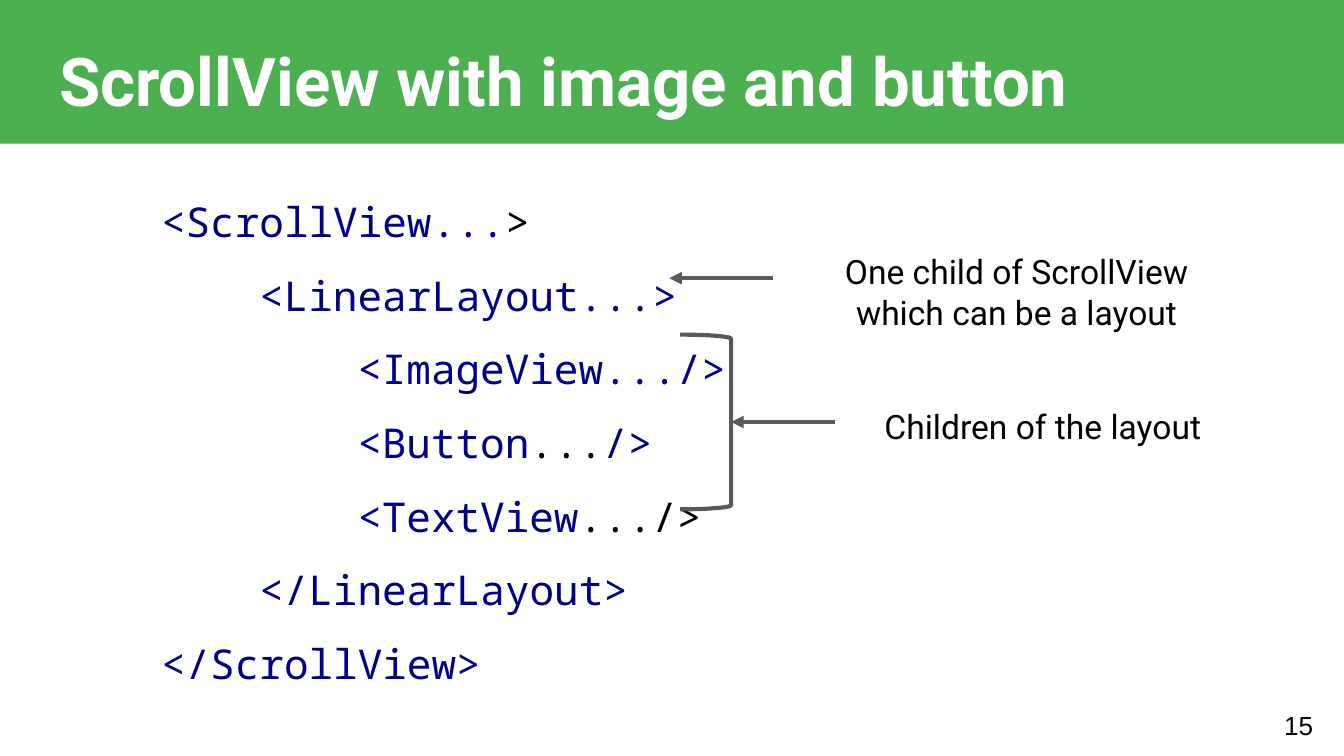
from dataclasses import dataclass

from lxml import etree
from pptx import Presentation
from pptx import util as u
from pptx.dml.color import RGBColor
from pptx.enum import shapes, text
from pptx.oxml import ns

GREEN, WHITE, BLACK, NAVY, GRAY = "4CAF50", "FFFFFF", "000000", "000088", "595959"
INDENT = 0.73  # width of four code characters

Run = tuple[str, str]  # wording, colour


@dataclass(frozen=True)
class Box:
    left: float
    top: float
    width: float
    height: float

    def lengths(self) -> list[u.Length]:
        return [u.Inches(n) for n in (self.left, self.top, self.width, self.height)]


@dataclass(frozen=True)
class CodeLine:
    level: int
    runs: list[Run]


@dataclass(frozen=True)
class Callout:
    lines: list[str]
    box: Box
    arrow_tip: tuple[float, float]


CODE = [
    CodeLine(0, [("<ScrollView...", NAVY), (">", BLACK)]),
    CodeLine(1, [("<LinearLayout...>", NAVY)]),
    CodeLine(2, [("<ImageView.../>", NAVY)]),
    CodeLine(2, [("<Button", NAVY), ("...", BLACK), ("/>", NAVY)]),
    CodeLine(2, [("<TextView", NAVY), (".../>", BLACK)]),
    CodeLine(1, [("</LinearLayout>", NAVY)]),
    CodeLine(0, [("</ScrollView>", NAVY)]),
]

CALLOUTS = [
    Callout(["Children of the layout"], Box(6.21, 2.92, 3.1, 0.43), (5.44, 3.14)),
    Callout(["One child of ScrollView", "which can be a layout"],
            Box(5.58, 1.77, 3.97, 0.71), (4.98, 2.07)),
]
ARROW_LENGTH = 0.77


def rgb(value: str) -> RGBColor:
    return RGBColor.from_string(value)


def set_attributes(target, values: dict) -> None:
    for name, value in values.items():
        setattr(target, name, value)


def prepare_frame(shape, anchor=text.MSO_ANCHOR.TOP):
    """Set wrapping, insets and anchor, and return the text frame."""
    frame = shape.text_frame
    margins = {f"margin_{side}": u.Inches(0.1) for side in ("left", "top", "right", "bottom")}
    set_attributes(frame, {"word_wrap": True, "auto_size": text.MSO_AUTO_SIZE.NONE,
                           "vertical_anchor": anchor, **margins})
    return frame


def write_lines(frame, lines: list[list[Run]], font: dict, paragraph_format: dict) -> None:
    for index, runs in enumerate(lines):
        paragraph = frame.add_paragraph() if index else frame.paragraphs[0]
        set_attributes(paragraph, paragraph_format)
        for wording, color in runs:
            run = paragraph.add_run()
            run.text = wording
            set_attributes(run.font, font)
            run.font.color.rgb = rgb(color)


def add_title(slide, wording: str) -> None:
    title = slide.shapes.title
    set_attributes(title, dict(zip(("left", "top", "width", "height"),
                                   Box(0.34, 0.19, 9.47, 0.63).lengths())))
    write_lines(prepare_frame(title), [[(wording, WHITE)]],
                {"name": "Roboto", "size": u.Pt(36), "bold": True},
                {"alignment": text.PP_ALIGN.LEFT})
    bar = slide.shapes.add_shape(shapes.MSO_SHAPE.RECTANGLE, *Box(-0.01, -0.04, 10.01, 1.11).lengths())
    bar.shadow.inherit = False
    bar.fill.solid()
    bar.fill.fore_color.rgb = rgb(GREEN)
    bar.line.fill.background()
    title.element.addprevious(bar.element)  # the bar goes behind the title


def add_code(slide, code: list[CodeLine]) -> None:
    frame = prepare_frame(slide.shapes.add_textbox(*Box(1.1, 1.18, 6.42, 3.74).lengths()))
    write_lines(frame, [line.runs for line in code],
                {"name": "Noto Sans Mono", "size": u.Pt(22)},
                {"line_spacing": u.Pt(39.5), "alignment": text.PP_ALIGN.LEFT})
    for paragraph, line in zip(frame.paragraphs, code):
        properties = paragraph._p.get_or_add_pPr()
        properties.set("marL", str(u.Inches(INDENT * line.level)))
        properties.set("indent", "0")


def format_line(shape) -> None:
    shape.line.color.rgb = rgb(GRAY)
    shape.line.width = u.Pt(2.25)


def add_bracket(slide, box: Box) -> None:
    bracket = slide.shapes.add_shape(shapes.MSO_SHAPE.RIGHT_BRACKET, *box.lengths())
    bracket.shadow.inherit = False
    bracket.adjustments[0] = 0.08
    bracket.fill.background()
    format_line(bracket)


def add_callout(slide, callout: Callout) -> None:
    frame = prepare_frame(slide.shapes.add_textbox(*callout.box.lengths()))
    write_lines(frame, [[(line, BLACK)] for line in callout.lines],
                {"name": "Roboto", "size": u.Pt(18)}, {"alignment": text.PP_ALIGN.CENTER})
    x, y = callout.arrow_tip
    arrow = slide.shapes.add_connector(
        shapes.MSO_CONNECTOR.STRAIGHT,
        *[u.Inches(n) for n in (x, y, x + ARROW_LENGTH, y)])
    format_line(arrow)
    etree.SubElement(arrow.line._get_or_add_ln(), ns.qn("a:headEnd"), type="triangle")
    etree.SubElement(arrow.element.spPr, ns.qn("a:effectLst"))


def add_slide_number(slide, number: str) -> None:
    box = slide.shapes.add_textbox(*Box(9.27, 5.18, 0.6, 0.43).lengths())
    write_lines(prepare_frame(box, text.MSO_ANCHOR.MIDDLE), [[(number, BLACK)]],
                {"name": "Arial", "size": u.Pt(14)}, {"alignment": text.PP_ALIGN.RIGHT})


def main() -> None:
    presentation = Presentation()
    presentation.slide_width = u.Inches(10)
    presentation.slide_height = u.Inches(10 * 9 / 16)
    slide = presentation.slides.add_slide(presentation.slide_layouts.get_by_name("Title Only"))
    add_title(slide, "ScrollView with image and button")
    add_code(slide, CODE)
    add_slide_number(slide, "15")
    add_bracket(slide, Box(5.06, 2.49, 0.38, 1.3))
    for callout in CALLOUTS:
        add_callout(slide, callout)
    presentation.save("out.pptx")


if __name__ == "__main__":
    main()
